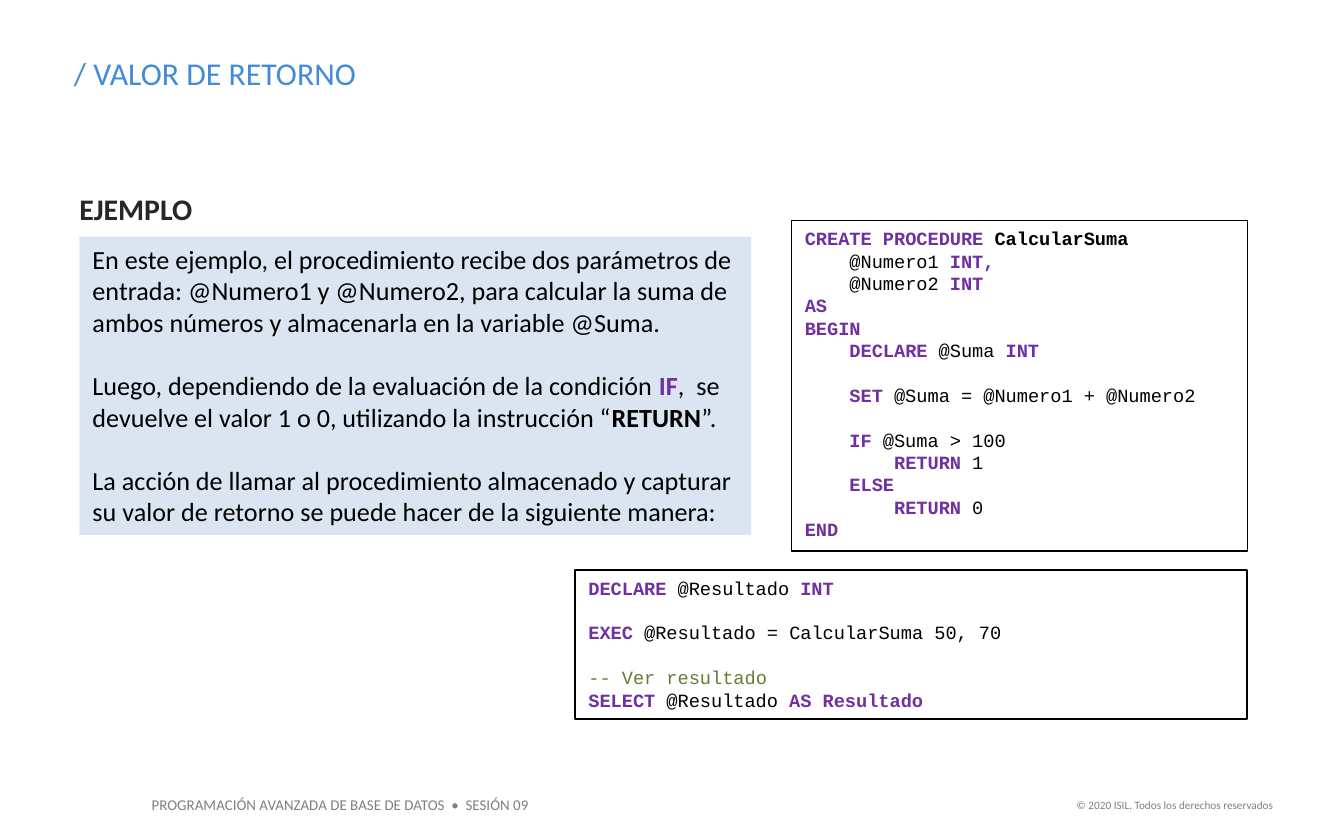
from dataclasses import dataclass

from pptx import Presentation
from pptx.dml.color import RGBColor
from pptx.enum import shapes, text
from pptx.util import Inches, Pt


@dataclass(frozen=True)
class Theme:
    sans: str = "Calibri"
    mono: str = "Courier New"
    blue: str = "438AD7"
    pale: str = "DAE5F1"
    dark: str = "262626"
    gray: str = "7F7F7F"
    black: str = "000000"
    violet: str = "7030A0"
    green: str = "647D33"
    title: float = 17
    head: float = 16
    body: float = 14
    code: float = 10
    foot: float = 8
    legal: float = 6


T = Theme()
LEFT, RIGHT = 0.59, 9.28
ALIGN = text.PP_ALIGN

# Run styles: colour and bold
STYLES = {
    "plain": (T.black, False),
    "bold": (T.black, True),
    "key": (T.violet, True),
    "note": (T.green, False),
    "title": (T.blue, False),
    "head": (T.dark, True),
    "foot": (T.gray, False),
}

# Each line is a list of (text, style); an empty list is a gap before the next.
PROSE = [
    [("En este ejemplo, el procedimiento recibe dos parámetros de entrada: "
      "@Numero1 y @Numero2, para calcular la suma de ambos números y "
      "almacenarla en la variable @Suma.", "plain")],
    [],
    [("Luego, dependiendo de la evaluación de la condición ", "plain"),
     ("IF", "key"),
     (",  se devuelve el valor 1 o 0, utilizando la instrucción “", "plain"),
     ("RETURN", "bold"), ("”.", "plain")],
    [],
    [("La acción de llamar al procedimiento almacenado y capturar su valor "
      "de retorno se puede hacer de la siguiente manera:", "plain")],
]

PROC = [
    [("CREATE PROCEDURE ", "key"), ("CalcularSuma", "bold")],
    [("    @Numero1 ", "plain"), ("INT,", "key")],
    [("    @Numero2 ", "plain"), ("INT", "key")],
    [("AS", "key")],
    [("BEGIN", "key")],
    [("    DECLARE", "key"), (" @Suma ", "plain"), ("INT", "key")],
    [],
    [("    SET ", "key"), ("@Suma = @Numero1 + @Numero2", "plain")],
    [],
    [("    IF ", "key"), ("@Suma > 100", "plain")],
    [("        RETURN ", "key"), ("1", "plain")],
    [("    ELSE", "key")],
    [("        RETURN ", "key"), ("0", "plain")],
    [("END", "key")],
]

CALL = [
    [("DECLARE", "key"), (" @Resultado ", "plain"), ("INT", "key")],
    [],
    [("EXEC ", "key"), ("@Resultado = CalcularSuma 50, 70", "plain")],
    [],
    [("-- Ver resultado", "note")],
    [("SELECT ", "key"), ("@Resultado ", "plain"), ("AS Resultado", "key")],
]


def place(shape, left, top, width, height):
    shape.left, shape.top = Inches(left), Inches(top)
    shape.width, shape.height = Inches(width), Inches(height)


def write(shape, lines, size, font=T.sans, align=ALIGN.LEFT, pitch=None):
    """Fill a shape with styled lines; pitch is the line height in points."""
    frame = shape.text_frame
    frame.word_wrap = True
    frame.auto_size = text.MSO_AUTO_SIZE.NONE
    frame.vertical_anchor = text.MSO_ANCHOR.TOP
    para, gap = None, False
    for line in lines:
        if not line:
            gap = True
            continue
        para = frame.add_paragraph() if para else frame.paragraphs[0]
        para.alignment = align
        if pitch:
            para.line_spacing = Pt(pitch)
        if gap:
            para.space_before = Pt(pitch)
        gap = False
        for words, style in line:
            color, bold = STYLES[style]
            run = para.add_run()
            run.text = words
            run.font.name, run.font.size = font, Pt(size)
            run.font.bold = bold
            run.font.color.rgb = RGBColor.from_string(color)


def label(slide, box, words, style, size, align=ALIGN.LEFT):
    shape = slide.shapes.add_textbox(*map(Inches, box))
    write(shape, [[(words, style)]], size, align=align)
    return shape


def panel(slide, box, fill=None, line=None):
    shape = slide.shapes.add_shape(shapes.MSO_SHAPE.RECTANGLE,
                                   *map(Inches, box))
    shape.shadow.inherit = False
    if fill:
        shape.fill.solid()
        shape.fill.fore_color.rgb = RGBColor.from_string(fill)
    else:
        shape.fill.background()
    if line:
        shape.line.color.rgb = RGBColor.from_string(line)
        shape.line.width = Pt(0.75)
    else:
        shape.line.fill.background()
    return shape


def code(slide, box, lines):
    write(panel(slide, box, line=T.black), lines, T.code, T.mono, pitch=12)


def main():
    deck = Presentation()
    deck.slide_width, deck.slide_height = Inches(10), Inches(6.25)
    slide = deck.slides.add_slide(deck.slide_layouts.get_by_name("Title Only"))

    title = slide.shapes.title
    place(title, 0.45, 0.35, 7.88, 0.39)
    write(title, [[("/ VALOR DE RETORNO", "title")]], T.title)

    label(slide, (1.03, 5.87, 3.1, 0.24),
          "PROGRAMACIÓN AVANZADA DE BASE DE DATOS  •  SESIÓN 09",
          "foot", T.foot)
    label(slide, (7.82, 5.89, 1.75, 0.2),
          "© 2020 ISIL. Todos los derechos reservados",
          "foot", T.legal, ALIGN.RIGHT)

    head = label(slide, (LEFT, 1.42, 1.82, 0.27), "EJEMPLO", "head", T.head)
    frame = head.text_frame
    frame.margin_left = frame.margin_right = 0
    frame.margin_top = frame.margin_bottom = 0

    prose = panel(slide, (LEFT, 1.76, 5, 2.22), fill=T.pale)
    write(prose, PROSE, T.body, pitch=16.9)

    code(slide, (RIGHT - 3.39, 1.64, 3.39, 2.46), PROC)
    code(slide, (RIGHT - 5, 4.24, 5, 1.11), CALL)

    deck.save("out.pptx")


if __name__ == "__main__":
    main()
